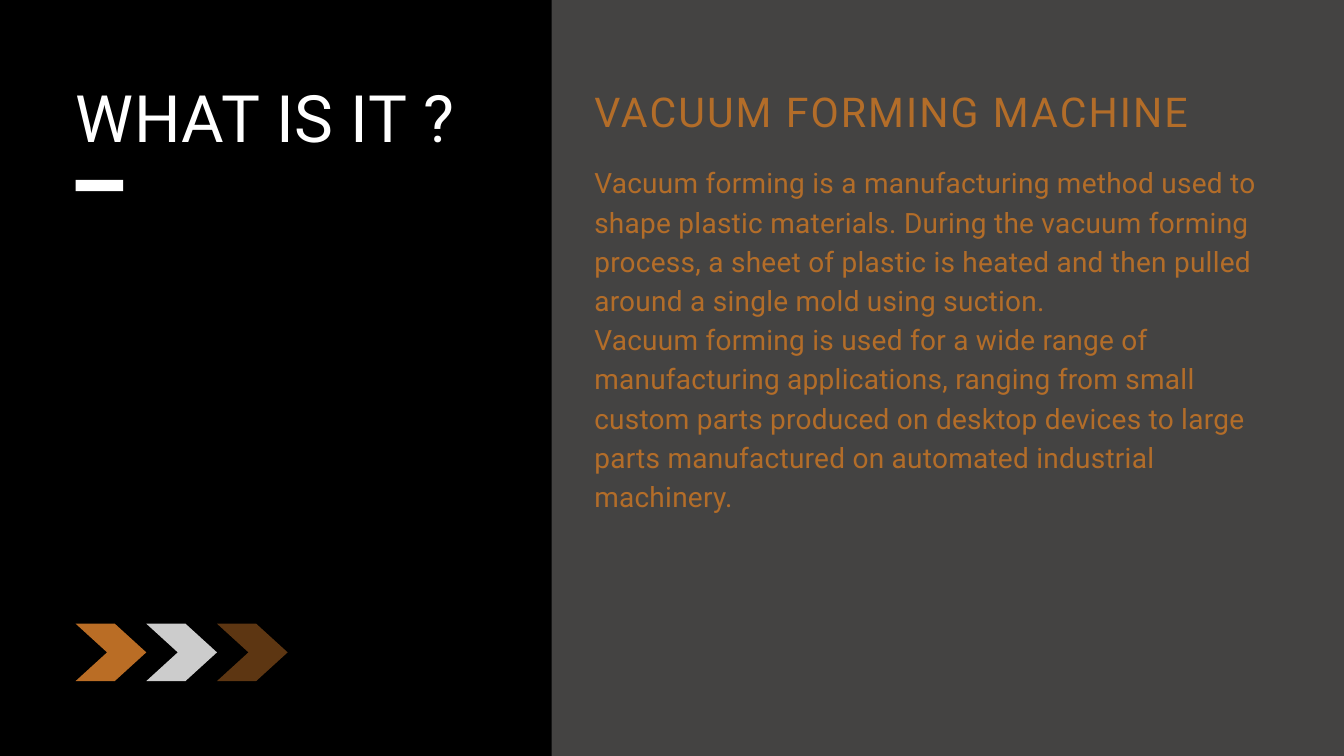
"""Build the "What is it?" slide about vacuum forming machines."""
from dataclasses import dataclass

from lxml import etree
from pptx import Presentation
from pptx.dml.color import RGBColor
from pptx.enum.shapes import MSO_SHAPE
from pptx.enum.text import MSO_ANCHOR, MSO_AUTO_SIZE, PP_ALIGN
from pptx.oxml.ns import qn
from pptx.util import Pt

RECTANGLE = MSO_SHAPE.RECTANGLE
TOP = MSO_ANCHOR.TOP
NO_AUTOFIT = MSO_AUTO_SIZE.NONE
LEFT = PP_ALIGN.LEFT
PX = 9525


@dataclass(frozen=True)
class Theme:
    font: str = "Roboto"
    background: str = "444342"
    panel: str = "000000"
    light: str = "FFFFFF"
    text: str = "B36D29"
    accent: str = "BA6D25"
    title_size: int = 70
    heading_size: int = 44
    body_size: int = 30


THEME = Theme()


def write_text(shape, paragraphs, *, box, size, color, line_height, tracking):
    shape.left, shape.top, shape.width, shape.height = (length * PX for length in box)
    frame = shape.text_frame
    frame.margin_left = frame.margin_top = frame.margin_right = frame.margin_bottom = 0
    frame.word_wrap = True
    frame.auto_size = NO_AUTOFIT
    frame.vertical_anchor = TOP
    frame.text = "\n".join(paragraphs)
    for paragraph in frame.paragraphs:
        paragraph.alignment = LEFT
        paragraph.line_spacing = Pt(line_height)
        paragraph.space_before = paragraph.space_after = Pt(0)
        properties = paragraph._p.get_or_add_pPr()
        properties.set("marL", "0")
        properties.set("indent", "0")
        etree.SubElement(properties, qn("a:buNone"))
        run = paragraph.runs[0]
        run.font.name = THEME.font
        run.font.size = Pt(size)
        run.font.color.rgb = RGBColor.from_string(color)
        run.font._element.set("spc", str(tracking))


def paint(shape, color, opacity=100):
    shape.shadow.inherit = False
    shape.line.fill.background()
    shape.fill.solid()
    shape.fill.fore_color.rgb = RGBColor.from_string(color)
    if opacity < 100:
        color_element = shape.element.spPr.find(qn("a:solidFill"))[0]
        etree.SubElement(color_element, qn("a:alpha"), val=str(opacity * 1000))


presentation = Presentation()
presentation.slide_width = 1920 * PX
presentation.slide_height = 1080 * PX
slide = presentation.slides.add_slide(presentation.slide_layouts[1])
slide.background.fill.solid()
slide.background.fill.fore_color.rgb = RGBColor.from_string(THEME.background)
title = slide.shapes.title
body = slide.placeholders[1]

panel = slide.shapes.add_shape(RECTANGLE, 0, 0, 788 * PX, 1080 * PX)
paint(panel, THEME.panel)
title.element.addprevious(panel.element)

write_text(title, ["WHAT IS IT ?"], box=(108, 101, 606, 118), size=THEME.title_size,
           color=THEME.light, line_height=91, tracking=70)

heading = slide.shapes.add_textbox(0, 0, 0, 0)
write_text(heading, ["VACUUM FORMING MACHINE"], box=(849, 117, 964, 75),
           size=THEME.heading_size, color=THEME.text, line_height=57.2, tracking=220)

write_text(
    body,
    [
        "Vacuum forming is a manufacturing method used to shape plastic materials. "
        "During the vacuum forming process, a sheet of plastic is heated and then "
        "pulled around a single mold using suction.",
        "Vacuum forming is used for a wide range of manufacturing applications, "
        "ranging from small custom parts produced on desktop devices to large parts "
        "manufactured on automated industrial machinery.",
    ],
    box=(849, 229, 964, 502), size=THEME.body_size, color=THEME.text,
    line_height=42, tracking=30)

title_bar = slide.shapes.add_shape(RECTANGLE, 108 * PX, 257 * PX, 68 * PX, 16 * PX)
paint(title_bar, THEME.light)

chevron_left, chevron_top, chevron_width = 108, 891, 101
chevron_outline = [(56, 0), (0, 0), (45, 41), (0, 82), (56, 82), (101, 41)]
chevron_fills = [(THEME.accent, 100), (THEME.light, 80), (THEME.accent, 50)]
for index, (color, opacity) in enumerate(chevron_fills):
    left = chevron_left + index * chevron_width
    points = [(left + x, chevron_top + y) for x, y in chevron_outline]
    builder = slide.shapes.build_freeform(*points[0], scale=PX)
    builder.add_line_segments(points[1:], close=True)
    paint(builder.convert_to_shape(), color, opacity)

presentation.save("out.pptx")
